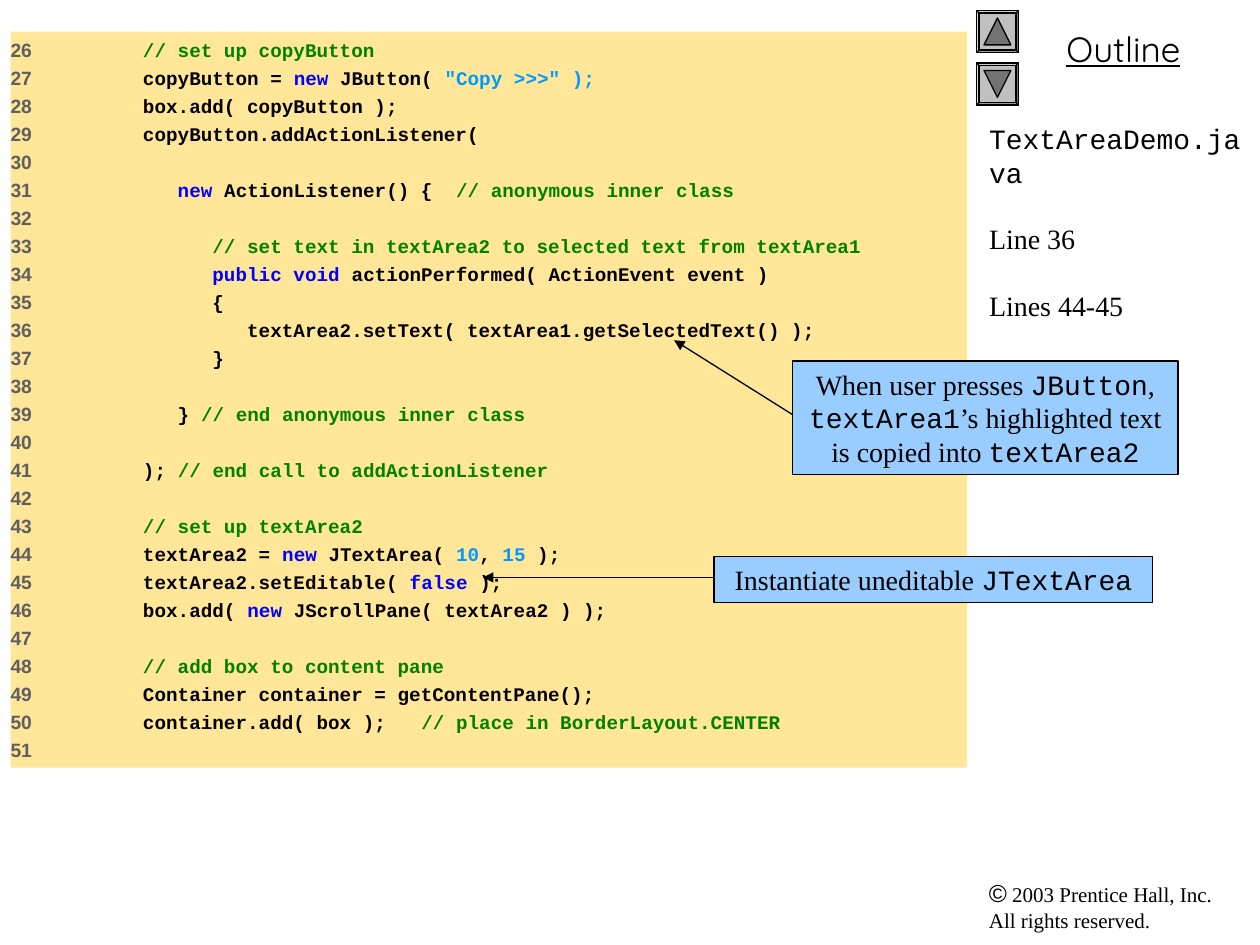
from lxml import etree
from pptx import Presentation
from pptx.dml.color import RGBColor
from pptx.enum.shapes import MSO_CONNECTOR, MSO_SHAPE
from pptx.enum.text import MSO_ANCHOR, MSO_AUTO_SIZE, PP_ALIGN
from pptx.oxml.ns import qn
from pptx.util import Inches, Pt

LEFT, CENTER = PP_ALIGN.LEFT, PP_ALIGN.CENTER
TOP, FIXED = MSO_ANCHOR.TOP, MSO_AUTO_SIZE.NONE
BEVEL, RECTANGLE = MSO_SHAPE.BEVEL, MSO_SHAPE.RECTANGLE
UP, DOWN = MSO_SHAPE.ISOSCELES_TRIANGLE, MSO_SHAPE.FLOWCHART_MERGE
STRAIGHT = MSO_CONNECTOR.STRAIGHT

BLACK = RGBColor(0x00, 0x00, 0x00)
GUTTER_GREY = RGBColor(0x5F, 0x5F, 0x5F)
COMMENT = RGBColor(0x00, 0x80, 0x00)
KEYWORD = RGBColor(0x00, 0x00, 0xFF)
LITERAL = RGBColor(0x00, 0x99, 0xFF)
CODE_PANEL = RGBColor(0xFF, 0xE6, 0x99)
CALLOUT_BLUE = RGBColor(0x99, 0xCC, 0xFF)
BUTTON_GREY = RGBColor(0xC0, 0xC0, 0xC0)
ARROW_GREY = RGBColor(0x73, 0x73, 0x73)

SLIDE_WIDTH, SLIDE_HEIGHT = Inches(10), Inches(7.5)
COLUMN, ROW = SLIDE_WIDTH / 120, SLIDE_HEIGHT / 90
SERIF, MONO, SANS, DISPLAY = "Times New Roman", "Courier New", "Arial", "Quicksand"
FIRST_LINE_NUMBER = 26
NUMBER_TAB = 4.07

CODE = [
    [("      // set up copyButton", COMMENT)],
    [("      copyButton = ", BLACK), ("new", KEYWORD), (" JButton( ", BLACK),
     ('"Copy >>>" );', LITERAL)],
    [("      box.add( copyButton );", BLACK)],
    [("      copyButton.addActionListener(", BLACK)],
    [],
    [("         new", KEYWORD), (" ActionListener() {  ", BLACK),
     ("// anonymous inner class", COMMENT)],
    [],
    [("            // set text in textArea2 to selected text from textArea1", COMMENT)],
    [("            public void", KEYWORD),
     (" actionPerformed( ActionEvent event )", BLACK)],
    [("            {", BLACK)],
    [("               textArea2.setText( textArea1.getSelectedText() );", BLACK)],
    [("            }", BLACK)],
    [],
    [("         } ", BLACK), ("// end anonymous inner class", COMMENT)],
    [],
    [("      ); ", BLACK), ("// end call to addActionListener", COMMENT)],
    [],
    [("      // set up textArea2", COMMENT)],
    [("      textArea2 = ", BLACK), ("new", KEYWORD), (" JTextArea( ", BLACK),
     ("10", LITERAL), (", ", BLACK), ("15", LITERAL), (" );", BLACK)],
    [("      textArea2.setEditable( ", BLACK), ("false", KEYWORD), (" );", BLACK)],
    [("      box.add( ", BLACK), ("new", KEYWORD),
     (" JScrollPane( textArea2 ) );", BLACK)],
    [],
    [("      // add box to content pane", COMMENT)],
    [("      Container container = getContentPane();", BLACK)],
    [("      container.add( box );   ", BLACK),
     ("// place in BorderLayout.CENTER", COMMENT)],
    [],
]
OUTLINE_ENTRIES = [("TextAreaDemo.java", MONO), ("Line 36", SERIF),
                   ("Lines 44-45", SERIF)]
CALLOUTS = [
    ((68, 53, 41.8, 4.4), (68, 55), (46, 55),
     [("Instantiate uneditable ", SERIF), ("JTextArea", MONO)]),
    ((75.5, 34.4, 36.7, 10.8), (75.5, 39.5), (64.2, 32.4),
     [("When user presses ", SERIF), ("JButton", MONO), (", ", SERIF),
      ("textArea1", MONO), ("’s highlighted text is copied into ", SERIF),
      ("textArea2", MONO)]),
]


def grid(box):
    """Turn columns and rows into slide lengths."""
    return [round(value * unit) for value, unit in zip(box, (COLUMN, ROW) * 2)]


def place(placeholder, box):
    """Move a placeholder to a grid box."""
    for side, length in zip(("left", "top", "width", "height"), grid(box)):
        setattr(placeholder, side, length)


def format_frame(frame, left_inset=0.1):
    """Give a text frame top anchoring, wrapping and margins."""
    settings = {"word_wrap": True, "auto_size": FIXED, "vertical_anchor": TOP,
                "margin_left": Inches(left_inset), "margin_right": Inches(0.1),
                "margin_top": Inches(0.05), "margin_bottom": Inches(0.05)}
    for name, value in settings.items():
        setattr(frame, name, value)
    return frame


def add_run(paragraph, text, face, size, color=BLACK, **extra):
    """Append one formatted run."""
    run = paragraph.add_run()
    run.text = text
    for name, value in {"name": face, "size": Pt(size), **extra}.items():
        setattr(run.font, name, value)
    run.font.color.rgb = color


def nth_paragraph(frame, index):
    """Return the first paragraph or a newly added one."""
    return frame.add_paragraph() if index else frame.paragraphs[0]


def add_panel(slide, preset, box, color, outlined=True):
    """Draw a flat filled preset shape on the grid."""
    panel = slide.shapes.add_shape(preset, *grid(box))
    panel.shadow.inherit = False
    panel.fill.solid()
    panel.fill.fore_color.rgb = color
    panel.line.color.rgb = BLACK
    panel.line.width = Pt(0.75)
    return panel


def fill_code(placeholder, box):
    """Set the numbered listing in the subtitle placeholder."""
    place(placeholder, box)
    placeholder.fill.solid()
    placeholder.fill.fore_color.rgb = CODE_PANEL
    frame = format_frame(placeholder.text_frame, 0)
    for index, tokens in enumerate(CODE):
        line = nth_paragraph(frame, index)
        line.alignment = LEFT
        line.space_before = Pt(2.8 if index else 0)
        stops = etree.SubElement(line._p.get_or_add_pPr(), qn("a:tabLst"))
        etree.SubElement(stops, qn("a:tab"), pos=str(round(NUMBER_TAB * COLUMN)),
                         algn="l")
        add_run(line, str(FIRST_LINE_NUMBER + index), SANS, 11, GUTTER_GREY, bold=True)
        add_run(line, "\t", MONO, 11, bold=True)
        for text, color in tokens:
            add_run(line, text, MONO, 11, color, bold=True)


def fill_outline(placeholder, box):
    """Set the file name and line references in the title placeholder."""
    place(placeholder, box)
    frame = format_frame(placeholder.text_frame)
    for index, (text, face) in enumerate(OUTLINE_ENTRIES):
        entry = nth_paragraph(frame, index)
        entry.alignment = LEFT
        entry.line_spacing = Pt(19.1)
        entry.space_before = Pt(19.1 if index else 0)
        add_run(entry, text, face, 16)


def add_heading(slide, box):
    """Write the underlined sidebar heading."""
    frame = format_frame(slide.shapes.add_textbox(*grid(box)).text_frame)
    heading = frame.paragraphs[0]
    heading.alignment = CENTER
    add_run(heading, "Outline", DISPLAY, 20, underline=True)


def add_copyright(slide, box):
    """Write the copyright line at the foot of the sidebar."""
    frame = format_frame(slide.shapes.add_textbox(*grid(box)).text_frame)
    notice = frame.paragraphs[0]
    add_run(notice, "©", SANS, 14)
    add_run(notice, " 2003 Prentice Hall, Inc.", SERIF, 12)
    notice.add_line_break()
    add_run(notice, "All rights reserved.", SERIF, 12)


def add_button(slide, box, direction):
    """Draw a bevelled button with a triangle centred in it."""
    left, top, width, height = box
    add_panel(slide, BEVEL, box, BUTTON_GREY).adjustments[0] = 0.06
    add_panel(slide, direction, (left + width * 0.18, top + height * 0.18,
                                 width * 0.64, height * 0.64), ARROW_GREY)


def add_callout(slide, box, start, target, pieces):
    """Draw a note and the arrow from it to a code line."""
    arrow = slide.shapes.add_connector(STRAIGHT, *grid(start), *grid(target))
    arrow.line.color.rgb = BLACK
    arrow.line.width = Pt(0.75)
    etree.SubElement(arrow.line._get_or_add_ln(), qn("a:tailEnd"), type="triangle")
    etree.SubElement(arrow._element.spPr, qn("a:effectLst"))
    frame = format_frame(add_panel(slide, RECTANGLE, box, CALLOUT_BLUE).text_frame)
    note = frame.paragraphs[0]
    note.alignment = CENTER
    for text, face in pieces:
        add_run(note, text, face, 16)


def main():
    """Build the code walkthrough slide."""
    deck = Presentation()
    deck.slide_width, deck.slide_height = SLIDE_WIDTH, SLIDE_HEIGHT
    slide = deck.slides.add_slide(deck.slide_layouts[0])
    add_copyright(slide, (93, 83, 26, 6.5))
    add_heading(slide, (94, 2, 26, 5.3))
    for top, direction in ((1, UP), (6, DOWN)):
        add_button(slide, (93, top, 4, 4), direction)
    fill_outline(slide.shapes.title, (93, 11, 27, 72))
    fill_code(slide.placeholders[1], (1, 3, 91.1, 70.1))
    for callout in CALLOUTS:
        add_callout(slide, *callout)
    deck.save("out.pptx")


if __name__ == "__main__":
    main()
